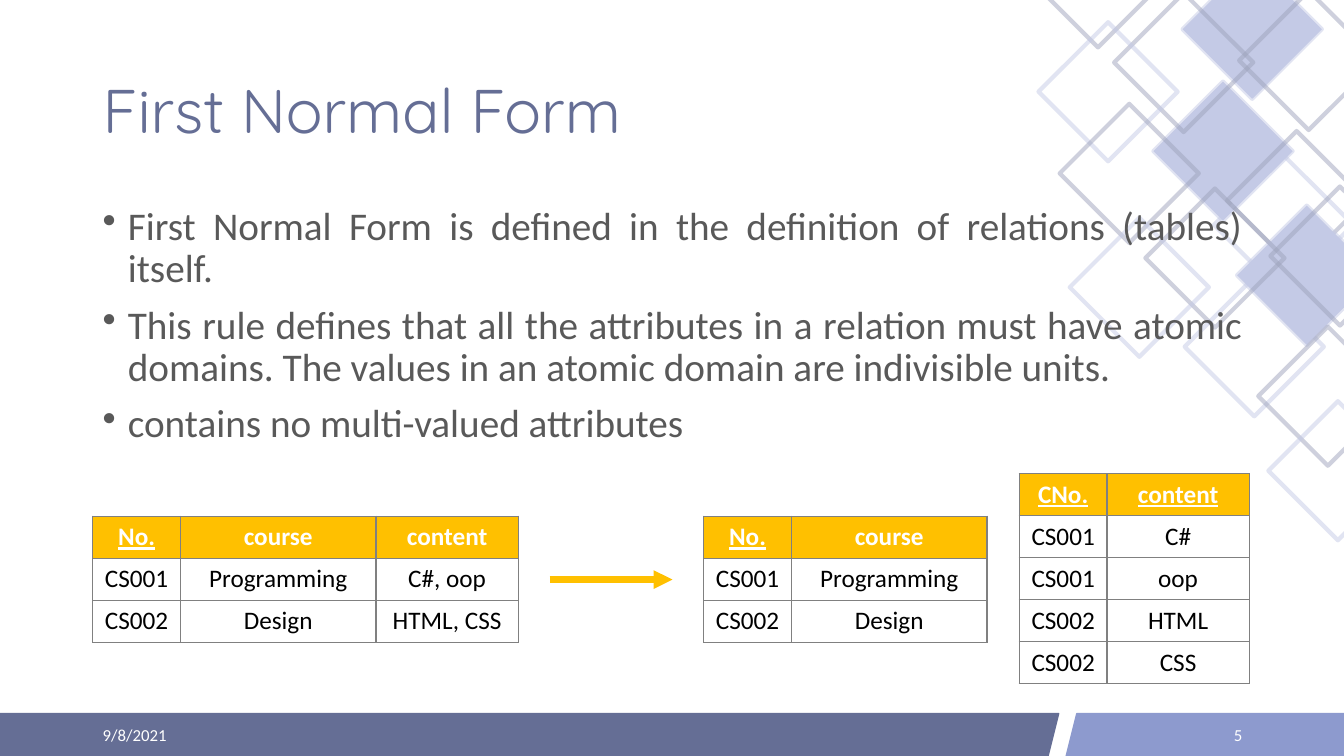
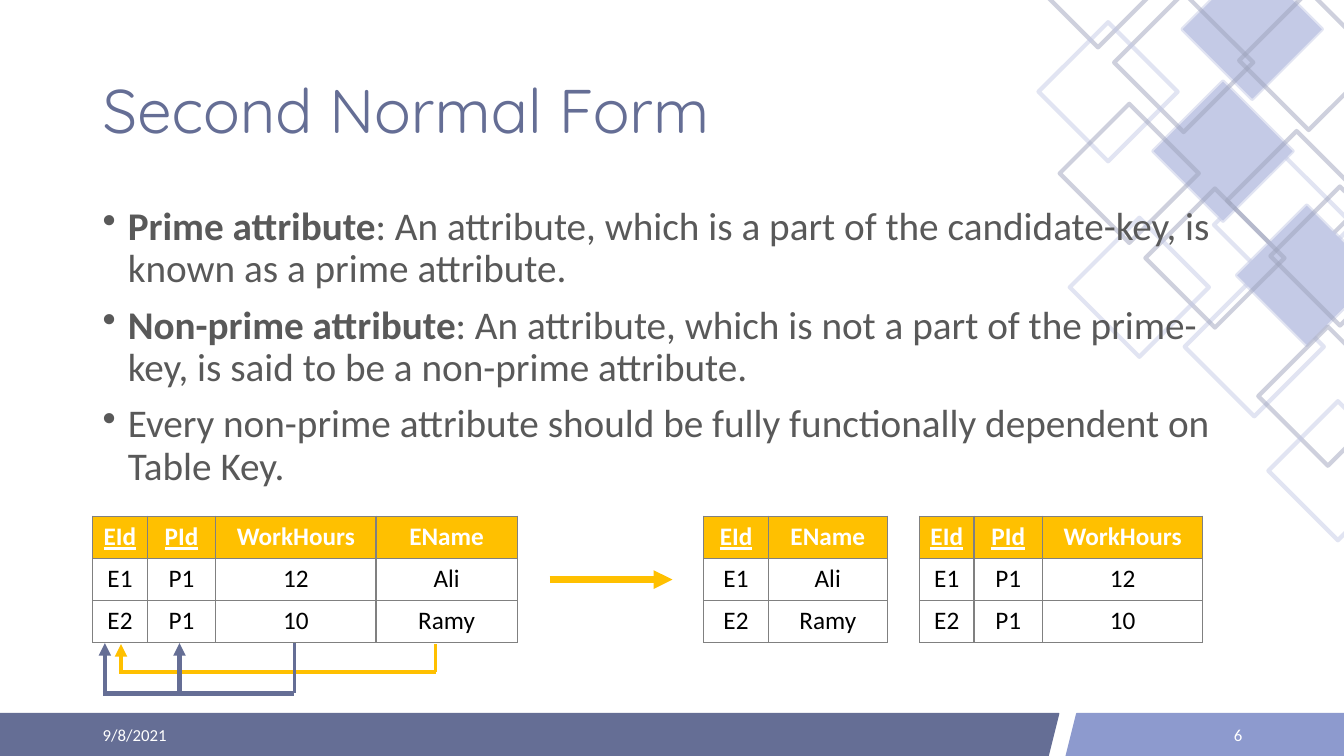
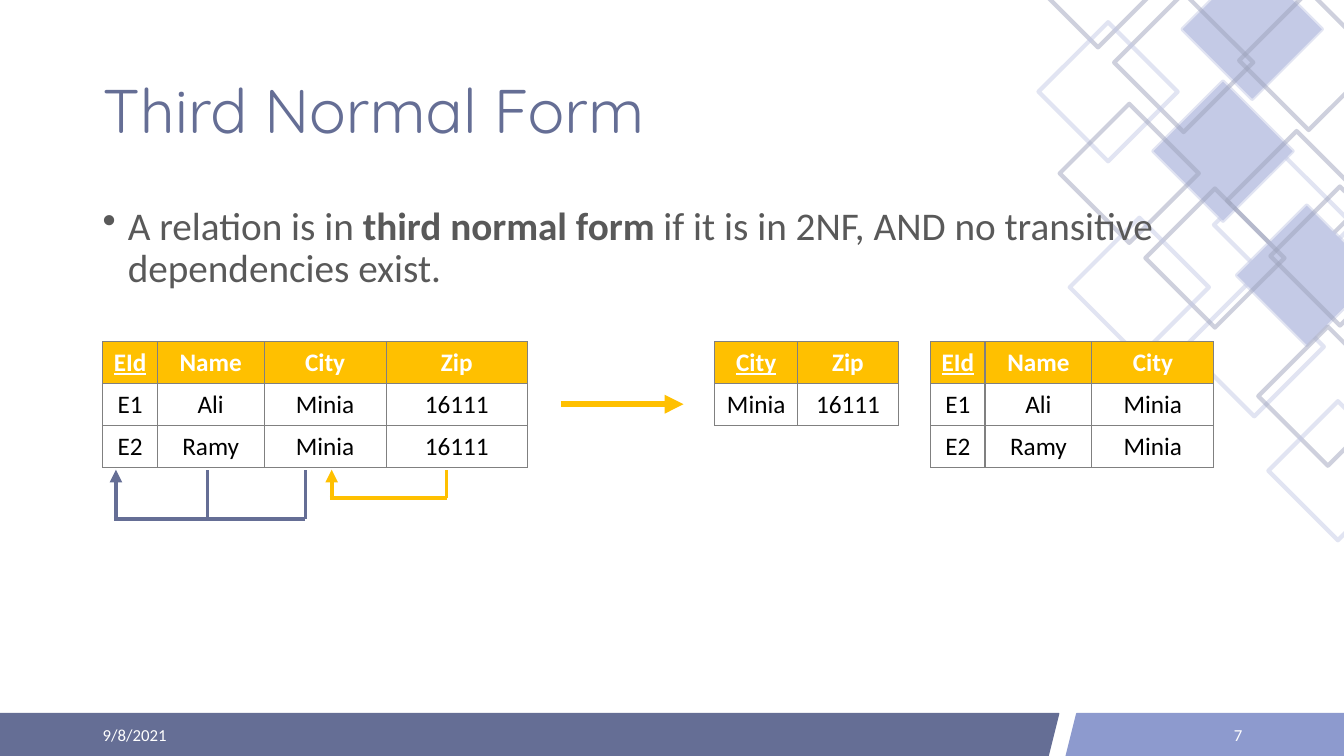
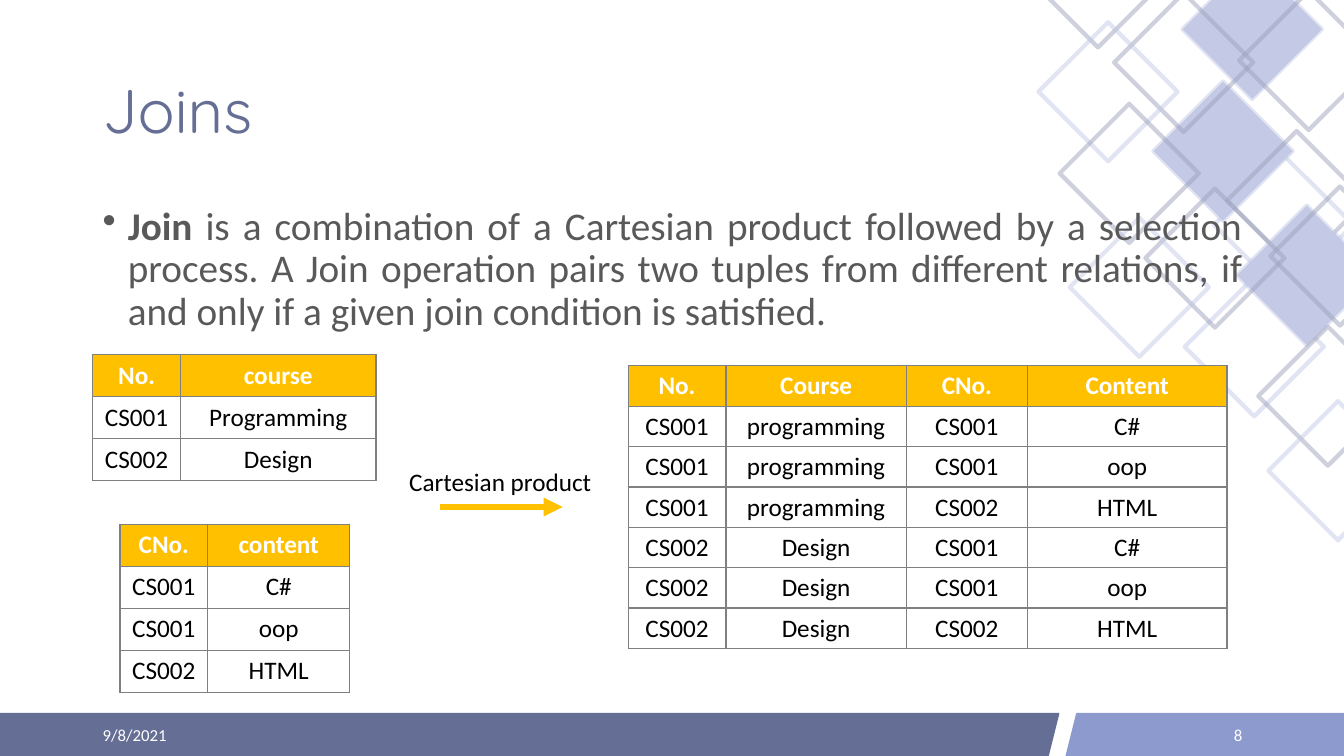
"""Build four slides on database normal forms and joins."""
from dataclasses import dataclass
from typing import NamedTuple

from lxml.etree import SubElement
from pptx import Presentation
from pptx.dml.color import RGBColor
from pptx.enum.shapes import MSO_CONNECTOR, MSO_SHAPE
from pptx.enum.text import MSO_ANCHOR, PP_ALIGN
from pptx.oxml import parse_xml
from pptx.oxml.ns import nsdecls, qn
from pptx.shapes.autoshape import Shape
from pptx.slide import Slide
from pptx.text.text import TextFrame
from pptx.util import Inches, Pt

STRAIGHT = MSO_CONNECTOR.STRAIGHT
DIAMOND = MSO_SHAPE.DIAMOND
PARALLELOGRAM = MSO_SHAPE.PARALLELOGRAM
TOP, MIDDLE = MSO_ANCHOR.TOP, MSO_ANCHOR.MIDDLE
LEFT, CENTER, RIGHT, JUSTIFY = PP_ALIGN.LEFT, PP_ALIGN.CENTER, PP_ALIGN.RIGHT, PP_ALIGN.JUSTIFY

COLORS = {
    "navy": "656E95",
    "periwinkle": "8D9ACE",
    "lavender": "C4CAE6",
    "slate": "9EA3BC",
    "amber": "FFC000",
    "grid": "808080",
    "body": "595959",
    "white": "FFFFFF",
    "black": "000000",
}
BODY_FONT, TITLE_FONT = "Calibri", "Quicksand"
MARGIN, CONTENT_WIDTH = 0.92, 11.5
FOOTER_TOP, FOOTER_WIDTH, FOOTER_HEIGHT = 7.09, 3, 0.4
DATE, FIRST_NUMBER = "9/8/2021", 5
ARROW_LENGTH = 1.22
DIAMOND_SIZE = 1.38
CLUSTER_STEP = (0.31, 1.94)


class Box(NamedTuple):
    """Position and size in inches."""

    left: float
    top: float
    width: float
    height: float


class Span(NamedTuple):
    """A run of body text."""

    text: str
    bold: bool = False


class Tile(NamedTuple):
    """A diamond of the corner pattern."""

    left: float
    top: float
    color: str
    filled: bool = False


@dataclass(frozen=True)
class TextStyle:
    """Look of a run."""

    size: float
    color: str
    font: str = BODY_FONT
    bold: bool = False
    underline: bool = False


@dataclass(frozen=True)
class Relation:
    """A database table; the first `keys` headings are underlined."""

    left: float
    top: float
    columns: tuple[float, ...]
    rows: tuple[tuple[str, ...], ...]
    keys: int = 0
    row_height: float = 0.417


@dataclass(frozen=True)
class Dependency:
    """A bracket below a table, with arrows up to its heads."""

    color: str
    heads: tuple[float, ...]
    tails: tuple[float, ...]
    top: float
    base: float


@dataclass(frozen=True)
class Page:
    """Content of a slide."""

    title: str
    bullets: tuple[tuple[Span, ...], ...]
    relations: tuple[Relation, ...]
    arrow: tuple[float, float]
    arrow_label: str = ""
    dependencies: tuple[Dependency, ...] = ()
    align: PP_ALIGN = LEFT


TITLE_STYLE = TextStyle(44, "navy", TITLE_FONT)
FOOTER_STYLE = TextStyle(12, "white")
CELL_STYLE = TextStyle(18, "black")

BANDS = (
    (Box(-0.48, 7.08, 10.98, 0.44), "navy"),
    (Box(10.57, 7.08, 2.94, 0.44), "periwinkle"),
)
TILES = (
    Tile(11.73, -0.4, "lavender", True),
    Tile(12.29, -0.09, "slate"),
    Tile(11.44, 0.81, "lavender", True),
    Tile(11.05, -0.07, "slate"),
    Tile(12.17, 1.3, "slate"),
    Tile(12.27, 2.04, "lavender", True),
    Tile(10.2, -0.91, "slate"),
    Tile(10.3, 0.22, "lavender"),
)

COURSES = (("CS001", "Programming"), ("CS002", "Design"))
CONTENTS = (("CS001", "C#"), ("CS001", "oop"), ("CS002", "HTML"))

PAGES = (
    Page(
        "First Normal Form",
        (
            (Span("First Normal Form is defined in the definition of relations (tables) itself."),),
            (Span("This rule defines that all the attributes in a relation must have atomic "
                  "domains. The values in an atomic domain are indivisible units."),),
            (Span("contains no multi-valued attributes"),),
        ),
        (
            Relation(0.92, 5.12, (0.87, 1.94, 1.41), (
                ("No.", "course", "content"),
                ("CS001", "Programming", "C#, oop"),
                ("CS002", "Design", "HTML, CSS")), 1),
            Relation(10.11, 4.7, (0.87, 1.41),
                     (("CNo.", "content"), *CONTENTS, ("CS002", "CSS")), 2),
            Relation(6.98, 5.12, (0.87, 1.94), (("No.", "course"), *COURSES), 1),
        ),
        (5.45, 5.75),
        align=JUSTIFY,
    ),
    Page(
        "Second Normal Form",
        (
            (Span("Prime attribute", True),
             Span(": An attribute, which is a part of the candidate-key, is known as a "
                  "prime attribute.")),
            (Span("Non-prime attribute", True),
             Span(": An attribute, which is not a part of the prime-key, is said to be a "
                  "non-prime attribute.")),
            (Span("Every non-prime attribute should be fully functionally dependent on "
                  "Table Key."),),
        ),
        (
            Relation(0.92, 5.12, (0.54, 0.68, 1.59, 1.4), (
                ("EId", "PId", "WorkHours", "EName"),
                ("E1", "P1", "12", "Ali"),
                ("E2", "P1", "10", "Ramy")), 2),
            Relation(6.98, 5.12, (0.64, 1.18),
                     (("EId", "EName"), ("E1", "Ali"), ("E2", "Ramy")), 1),
            Relation(9.12, 5.12, (0.54, 0.68, 1.59), (
                ("EId", "PId", "WorkHours"),
                ("E1", "P1", "12"),
                ("E2", "P1", "10")), 2),
        ),
        (5.45, 5.75),
        dependencies=(
            Dependency("amber", (1.2,), (4.32,), 6.39, 6.67),
            Dependency("navy", (1.04, 1.78), (2.92,), 6.38, 6.88),
        ),
    ),
    Page(
        "Third Normal Form",
        (
            (Span("A relation is in "), Span("third normal form ", True),
             Span("if it is in 2NF, AND no transitive dependencies exist.")),
        ),
        (
            Relation(1.02, 3.39, (0.54, 1.06, 1.21, 1.4), (
                ("EId", "Name", "City", "Zip"),
                ("E1", "Ali", "Minia", "16111"),
                ("E2", "Ramy", "Minia", "16111")), 1),
            Relation(7.09, 3.39, (0.82, 1), (("City", "Zip"), ("Minia", "16111")), 1),
            Relation(9.23, 3.39, (0.54, 1.06, 1.21), (
                ("EId", "Name", "City"),
                ("E1", "Ali", "Minia"),
                ("E2", "Ramy", "Minia")), 1),
        ),
        (5.56, 4.01),
        dependencies=(
            Dependency("amber", (3.29,), (4.43,), 4.66, 4.94),
            Dependency("navy", (1.15,), (2.06, 3.03), 4.66, 5.15),
        ),
    ),
    Page(
        "Joins",
        (
            (Span("Join", True),
             Span(" is a combination of a Cartesian product followed by a selection process. "
                  "A Join operation pairs two tuples from different relations, if and only if "
                  "a given join condition is satisfied.")),
        ),
        (
            Relation(1.19, 5.2, (0.87, 1.41), (("CNo.", "content"), *CONTENTS)),
            Relation(0.92, 3.52, (0.87, 1.94), (("No.", "course"), *COURSES)),
            Relation(6.23, 3.63, (0.97, 1.79, 1.2, 1.98), (
                ("No.", "Course", "CNo.", "Content"),
                ("CS001", "programming", "CS001", "C#"),
                ("CS001", "programming", "CS001", "oop"),
                ("CS001", "programming", "CS002", "HTML"),
                ("CS002", "Design", "CS001", "C#"),
                ("CS002", "Design", "CS001", "oop"),
                ("CS002", "Design", "CS002", "HTML")), row_height=0.4),
        ),
        (4.36, 5.03),
        arrow_label="Cartesian product",
        align=JUSTIFY,
    ),
)


def rgb(name: str) -> RGBColor:
    """Look up a named colour."""
    return RGBColor.from_string(COLORS[name])


def add_span(para, text: str, style: TextStyle) -> None:
    """Append a styled run to a paragraph."""
    span = para.add_run()
    span.text = text
    font = span.font
    font.name, font.size = style.font, Pt(style.size)
    font.bold, font.underline = style.bold, style.underline
    font.color.rgb = rgb(style.color)


def add_frame(slide: Slide, box: Box, anchor: MSO_ANCHOR = MIDDLE, wrap: bool = True) -> TextFrame:
    """Add an empty text box and return its frame."""
    frame = slide.shapes.add_textbox(*map(Inches, box)).text_frame
    frame.word_wrap, frame.vertical_anchor = wrap, anchor
    return frame


def add_line(slide: Slide, start: tuple[float, float], end: tuple[float, float],
             color: str, width: float, arrow: bool = False) -> None:
    """Draw a straight line, optionally with an arrowhead at its end."""
    line = slide.shapes.add_connector(STRAIGHT, *map(Inches, (*start, *end)))
    line.line.color.rgb = rgb(color)
    line.line.width = Pt(width)
    properties = line.element.spPr
    if arrow:
        SubElement(properties.find(qn("a:ln")), qn("a:tailEnd"), type="triangle")
    SubElement(properties, qn("a:effectLst"))


def add_preset(slide: Slide, kind: MSO_SHAPE, box: Box, color: str,
               width: float, filled: bool = True) -> Shape:
    """Draw a preset shape outlined, and perhaps filled, in one colour."""
    shape = slide.shapes.add_shape(kind, *map(Inches, box))
    shape.shadow.inherit = False
    if filled:
        shape.fill.solid()
        shape.fill.fore_color.rgb = rgb(color)
    else:
        shape.fill.background()
    shape.line.color.rgb = rgb(color)
    shape.line.width = Pt(width)
    return shape


def add_backdrop(slide: Slide) -> None:
    """Draw the footer bands and the two clusters of diamonds."""
    for box, color in BANDS:
        add_preset(slide, PARALLELOGRAM, box, color, 1)
    for cluster in range(2):
        for tile in TILES:
            box = Box(tile.left + cluster * CLUSTER_STEP[0], tile.top + cluster * CLUSTER_STEP[1],
                      DIAMOND_SIZE, DIAMOND_SIZE)
            diamond = add_preset(slide, DIAMOND, box, tile.color, 3, tile.filled and cluster == 0)
            outline = diamond.element.spPr.find(qn("a:ln"))
            SubElement(outline.find(".//" + qn("a:srgbClr")), qn("a:alpha"), val="50000")


def add_title(slide: Slide, title: str) -> None:
    """Add the slide title."""
    para = add_frame(slide, Box(MARGIN, 0.4, CONTENT_WIDTH, 1.45)).paragraphs[0]
    para.line_spacing = 0.9
    add_span(para, title, TITLE_STYLE)


def add_bullets(slide: Slide, page: Page) -> None:
    """Add the bulleted body text."""
    frame = add_frame(slide, Box(MARGIN, 2, CONTENT_WIDTH, 4.91), TOP)
    for index, bullet in enumerate(page.bullets):
        para = frame.add_paragraph() if index else frame.paragraphs[0]
        para.alignment, para.line_spacing, para.space_before = page.align, 0.9, Pt(10)
        properties = para._p.get_or_add_pPr()
        properties.set("marL", str(Inches(0.25)))
        properties.set("indent", str(Inches(-0.25)))
        SubElement(properties, qn("a:buChar"), char="•")
        for text, bold in bullet:
            add_span(para, text, TextStyle(28, "body", bold=bold))


def add_footer(slide: Slide, number: int) -> None:
    """Add the date and the slide number."""
    right_edge = MARGIN + CONTENT_WIDTH
    for left, text, align in ((MARGIN, DATE, LEFT), (right_edge - FOOTER_WIDTH, str(number), RIGHT)):
        para = add_frame(slide, Box(left, FOOTER_TOP, FOOTER_WIDTH, FOOTER_HEIGHT)).paragraphs[0]
        para.alignment = align
        add_span(para, text, FOOTER_STYLE)


def add_borders(cell) -> None:
    """Put a thin grey line on every side of a cell."""
    properties = cell._tc.get_or_add_tcPr()
    for index, side in enumerate(("lnL", "lnR", "lnT", "lnB")):
        properties.insert(index, parse_xml(
            f'<a:{side} {nsdecls("a")} w="{Pt(1)}"><a:solidFill>'
            f'<a:srgbClr val="{COLORS["grid"]}"/></a:solidFill></a:{side}>'))


def add_relation(slide: Slide, relation: Relation) -> None:
    """Draw a relation as a table with an amber heading row."""
    count = len(relation.rows)
    box = Box(relation.left, relation.top, sum(relation.columns), count * relation.row_height)
    table = slide.shapes.add_table(count, len(relation.columns), *map(Inches, box)).table
    table.horz_banding = False
    for column, width in zip(table.columns, relation.columns):
        column.width = Inches(width)
    for row_index, row in enumerate(relation.rows):
        table.rows[row_index].height = Inches(relation.row_height)
        for column_index, text in enumerate(row):
            cell = table.cell(row_index, column_index)
            cell.vertical_anchor = MIDDLE
            if row_index == 0:
                cell.fill.solid()
                cell.fill.fore_color.rgb = rgb("amber")
                style = TextStyle(18, "white", bold=True, underline=column_index < relation.keys)
            else:
                cell.fill.background()
                style = CELL_STYLE
            add_borders(cell)
            para = cell.text_frame.paragraphs[0]
            para.alignment = CENTER
            add_span(para, text, style)


def add_dependency(slide: Slide, dependency: Dependency) -> None:
    """Draw a dependency bracket."""
    color, top, base = dependency.color, dependency.top, dependency.base
    ends = dependency.heads + dependency.tails
    add_line(slide, (min(ends) - 0.02, base), (max(ends), base), color, 3)
    for head in dependency.heads:
        add_line(slide, (head, base), (head, top), color, 3, arrow=True)
    for tail in dependency.tails:
        add_line(slide, (tail, base), (tail, top), color, 2.25)


def add_arrow(slide: Slide, page: Page) -> None:
    """Draw the arrow between the tables, with its label if any."""
    left, top = page.arrow
    add_line(slide, (left, top), (left + ARROW_LENGTH, top), "amber", 4.5, arrow=True)
    if page.arrow_label:
        frame = add_frame(slide, Box(left - 0.4, top - 0.45, 2.03, 0.4), TOP, wrap=False)
        add_span(frame.paragraphs[0], page.arrow_label, CELL_STYLE)


def main() -> None:
    """Build and save the deck."""
    deck = Presentation()
    deck.slide_width, deck.slide_height = Inches(13.33), Inches(7.5)
    blank = deck.slide_layouts[6]
    for number, page in enumerate(PAGES, FIRST_NUMBER):
        slide = deck.slides.add_slide(blank)
        add_backdrop(slide)
        add_title(slide, page.title)
        add_bullets(slide, page)
        add_footer(slide, number)
        for relation in page.relations:
            add_relation(slide, relation)
        add_arrow(slide, page)
        for dependency in page.dependencies:
            add_dependency(slide, dependency)
    deck.save("out.pptx")


if __name__ == "__main__":
    main()
